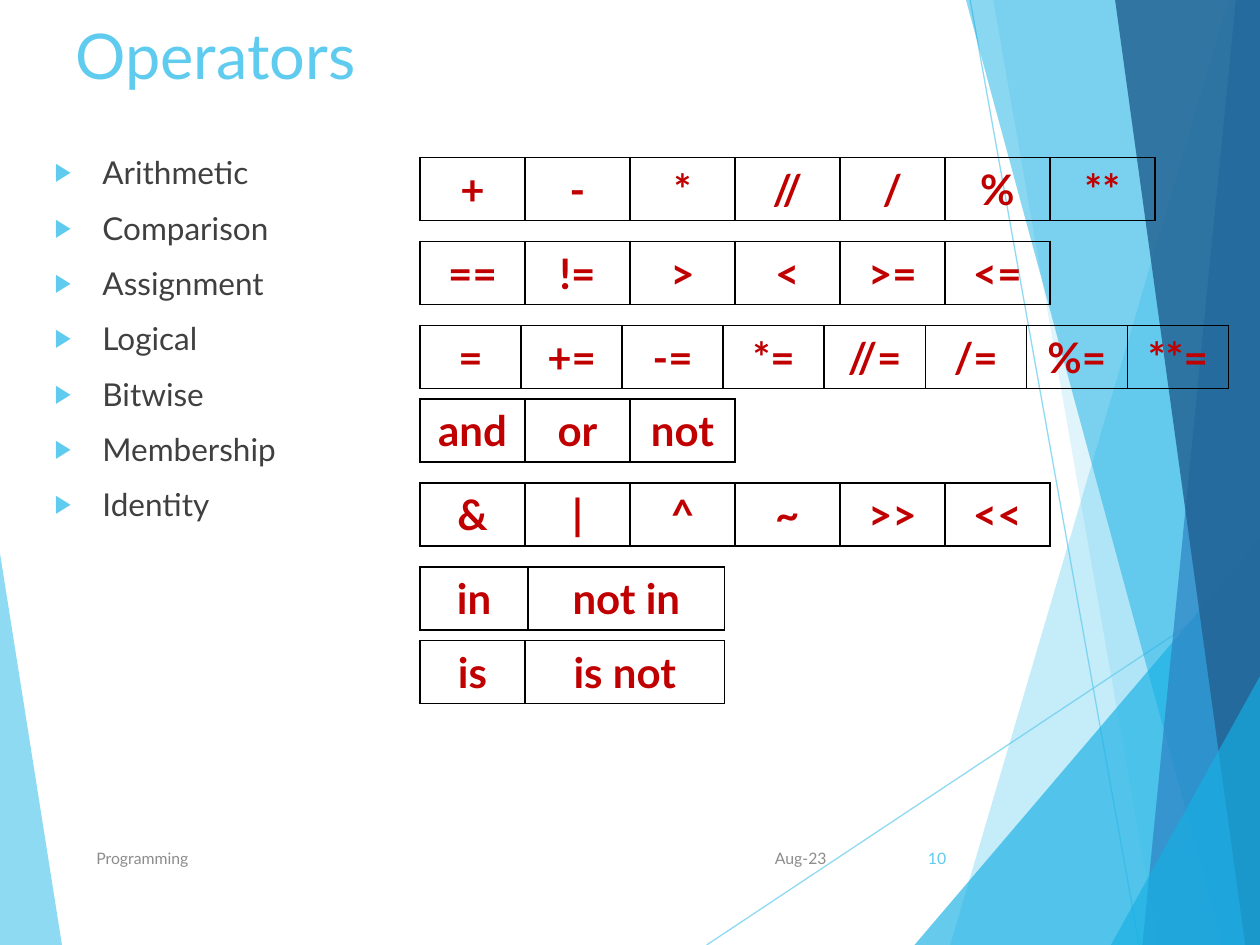
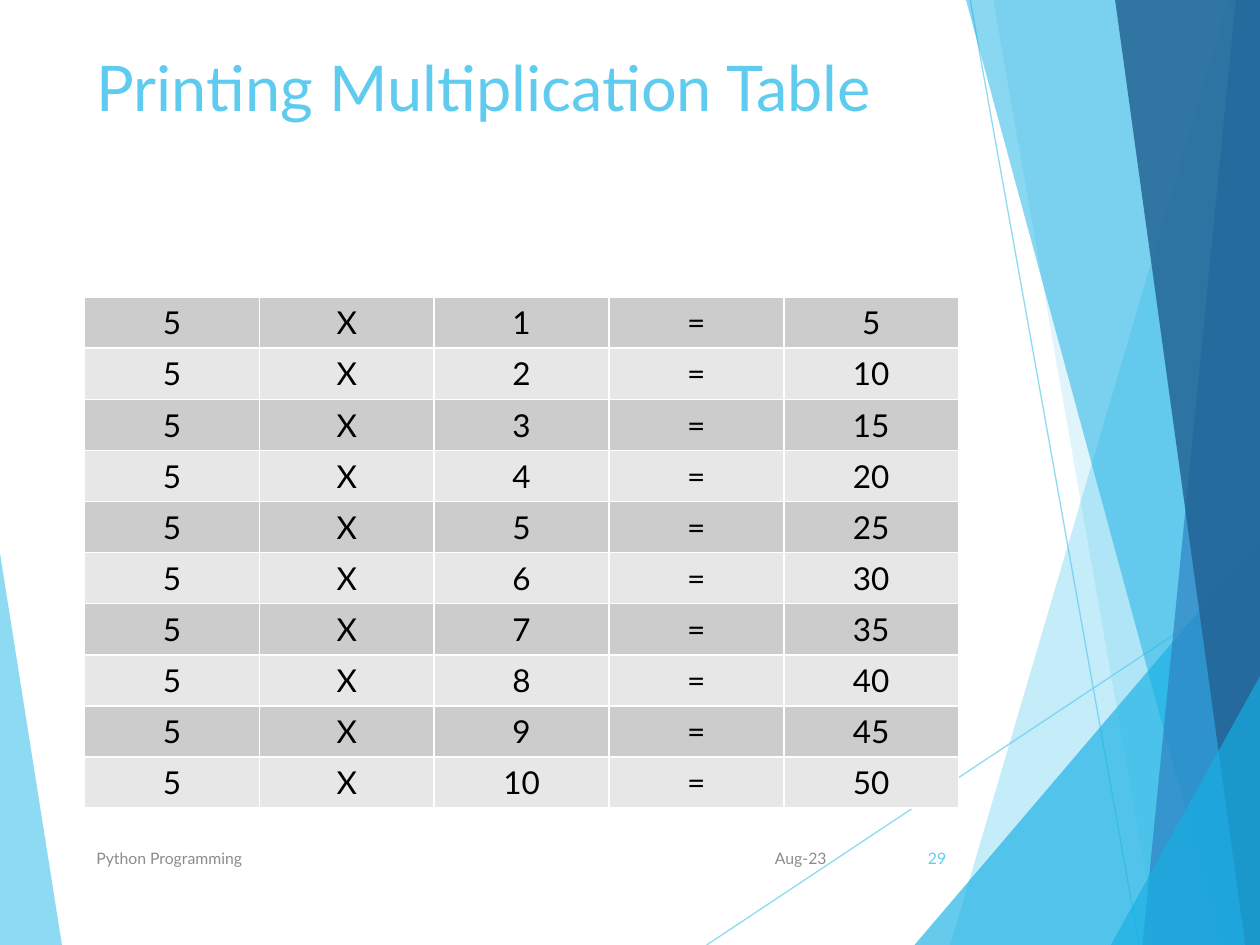
"""Build two programming slides: operator families and a multiplication table."""
import lxml.etree
import pptx
import pptx.dml.color
import pptx.enum.shapes
import pptx.enum.text
import pptx.oxml.ns
import pptx.util

RGBColor = pptx.dml.color.RGBColor
ALIGN = pptx.enum.text.PP_ALIGN
ANCHOR = pptx.enum.text.MSO_ANCHOR
qn = pptx.oxml.ns.qn

SKY = RGBColor(0x5F, 0xCB, 0xEF)
CYAN = RGBColor(0x17, 0xB0, 0xE4)
BLUE = RGBColor(0x2E, 0x83, 0xC3)
NAVY = RGBColor(0x22, 0x62, 0x92)
RED = RGBColor(0xC0, 0x00, 0x00)
BLACK = RGBColor(0x00, 0x00, 0x00)
WHITE = RGBColor(0xFF, 0xFF, 0xFF)
BODY_GREY = RGBColor(0x40, 0x40, 0x40)
FOOTER_GREY = RGBColor(0x8C, 0x8C, 0x8C)
BANDS = [RGBColor(0xCC, 0xCC, 0xCC), RGBColor(0xE7, 0xE7, 0xE7)]
FONT = "Lato"

COLUMNS, ROWS = 120, 90
UNIT = pptx.util.Inches(10) / COLUMNS


def write(frame, text, size=18, color=BLACK, bold=False, align=ALIGN.LEFT, anchor=ANCHOR.TOP, before=0):
    """Fill a text frame, one paragraph for each line of text."""
    frame.text = text
    frame.word_wrap = True
    frame.auto_size = pptx.enum.text.MSO_AUTO_SIZE.NONE
    frame.vertical_anchor = anchor
    for paragraph in frame.paragraphs:
        paragraph.alignment = align
        paragraph.space_before = pptx.util.Pt(before)
        font = paragraph.runs[0].font
        font.name, font.size, font.bold = FONT, pptx.util.Pt(size), bold
        font.color.rgb = color


def add_grid(slide, left, top, widths, row_height, rows, edge, fills, **text_format):
    """Add a bordered table whose row fills repeat in turn."""
    box = [round(n * UNIT) for n in (left, top, sum(widths), row_height * len(rows))]
    table = slide.shapes.add_table(len(rows), len(widths), *box).table
    table.first_row = table.horz_banding = False
    for column, width in zip(table.columns, widths):
        column.width = round(width * UNIT)
    for r, row in enumerate(rows):
        table.rows[r].height = round(row_height * UNIT)
        for c, text in enumerate(row):
            cell = table.cell(r, c)
            write(cell.text_frame, text, align=ALIGN.CENTER, **text_format)
            cell.vertical_anchor = ANCHOR.MIDDLE
            properties = cell._tc.get_or_add_tcPr()
            for side in ("a:lnL", "a:lnR", "a:lnT", "a:lnB"):
                border = lxml.etree.SubElement(properties, qn(side), w=str(pptx.util.Pt(1)))
                paint = lxml.etree.SubElement(border, qn("a:solidFill"))
                lxml.etree.SubElement(paint, qn("a:srgbClr"), val=str(edge))
            fill = fills[r % len(fills)]
            if fill is None:
                cell.fill.background()
            else:
                cell.fill.solid()
                cell.fill.fore_color.rgb = fill


deck = pptx.Presentation()
deck.slide_width = round(COLUMNS * UNIT)
deck.slide_height = round(ROWS * UNIT)
operators = deck.slides.add_slide(deck.slide_layouts[1])
times_table = deck.slides.add_slide(deck.slide_layouts[5])

rays = [(67.3, ROWS, COLUMNS, 55), (92.4, 0, 108.5, ROWS)]
right_edge = [(COLUMNS, ROWS), (COLUMNS, 0)]
facets = [
    (SKY, 70, [(0, 52.7), (5.9, ROWS), (0, ROWS)]),
    (SKY, 36, [(117, 0), (90.5, ROWS)] + right_edge),
    (SKY, 20, [(94.6, 0), (110.3, ROWS)] + right_edge),
    (CYAN, 66, [(87.1, ROWS), (COLUMNS, 51.4), (COLUMNS, ROWS)]),
    (CYAN, 50, [(92, 0), (116.4, ROWS)] + right_edge),
    (BLUE, 70, [(117.7, 0), (108.8, ROWS)] + right_edge),
    (NAVY, 82, [(106.2, 0), (118.6, ROWS)] + right_edge),
    (CYAN, 66, [(105.8, ROWS), (COLUMNS, 64.4), (COLUMNS, ROWS)]),
]
headings = [
    (operators, "Operators", 6, 1, "Programming", "10"),
    (times_table, "Printing Multiplication Table", 8, 4, "Python Programming", "29"),
]

for slide, heading, left, top, footer, number in headings:
    title = slide.shapes.title
    title.left, title.top, title.width, title.height = [round(n * UNIT) for n in (left, top, 108, 15)]
    write(title.text_frame, heading, size=36, color=SKY)

    backdrop = []
    for ends in rays:
        ray = slide.shapes.add_connector(
            pptx.enum.shapes.MSO_CONNECTOR.STRAIGHT, *[round(n * UNIT) for n in ends])
        ray.line.color.rgb = SKY
        ray.line.width = pptx.util.Pt(0.75)
        lxml.etree.SubElement(ray.element.spPr, qn("a:effectLst"))
        backdrop.append((ray, 70))
    for color, opacity, corners in facets:
        points = [(round(x * UNIT), round(y * UNIT)) for x, y in corners]
        outline = slide.shapes.build_freeform(*points[0])
        outline.add_line_segments(points[1:])
        facet = outline.convert_to_shape()
        facet.shadow.inherit = False
        facet.fill.solid()
        facet.fill.fore_color.rgb = color
        facet.line.fill.background()
        backdrop.append((facet, opacity))
    for part, opacity in backdrop:
        tint = part.element.spPr.find(".//" + qn("a:srgbClr"))
        lxml.etree.SubElement(tint, qn("a:alpha"), val=str(opacity * 1000))
        title.element.addprevious(part.element)

    for text, left, width, color, align in [
        ("Aug-23", 70.9, 9, FOOTER_GREY, ALIGN.RIGHT),
        (footer, 8, 60.7, FOOTER_GREY, ALIGN.LEFT),
        (number, 84.6, 6.7, SKY, ALIGN.RIGHT),
    ]:
        note = slide.shapes.add_textbox(*[round(n * UNIT) for n in (left, 79.3, width, 4.8)])
        write(note.text_frame, text, size=9, color=color, align=align, anchor=ANCHOR.MIDDLE)

families = operators.placeholders[1]
families.left, families.top, families.width, families.height = [
    round(n * UNIT) for n in (4, 14, 112, 70)]
write(families.text_frame,
      "Arithmetic\nComparison\nAssignment\nLogical\nBitwise\nMembership\nIdentity",
      color=BODY_GREY, before=10)
for paragraph in families.text_frame.paragraphs:
    properties = paragraph._p.get_or_add_pPr()
    indent = pptx.util.Inches(0.38)
    properties.set("marL", str(indent))
    properties.set("indent", str(-indent))
    bullet_color = lxml.etree.SubElement(properties, qn("a:buClr"))
    lxml.etree.SubElement(bullet_color, qn("a:srgbClr"), val=str(SKY))
    lxml.etree.SubElement(properties, qn("a:buSzPct"), val="80000")
    lxml.etree.SubElement(properties, qn("a:buChar"), char="▶")

for top, widths, symbols in [
    (15, [10] * 7, ["+", "-", "*", "//", "/", "%", "**"]),
    (23, [10] * 6, ["==", "!=", ">", "<", ">=", "<="]),
    (31, [77 / 8] * 8, ["=", "+=", "-=", "*=", "//=", "/=", "%=", "**="]),
    (38, [10] * 3, ["and", "or", "not"]),
    (46, [10] * 6, ["&", "|", "^", "~", ">>", "<<"]),
    (54, [10.3, 18.7], ["in", "not in"]),
    (61, [10, 19], ["is", "is not"]),
]:
    add_grid(operators, 40, top, widths, 6, [symbols], BLACK, [None], size=24, color=RED, bold=True)

products = [["5", "X", str(n), "=", str(5 * n)] for n in range(1, 11)]
add_grid(times_table, 8.05, 28.3, [16.65] * 5, 4.87, products, WHITE, BANDS)

deck.save("out.pptx")
